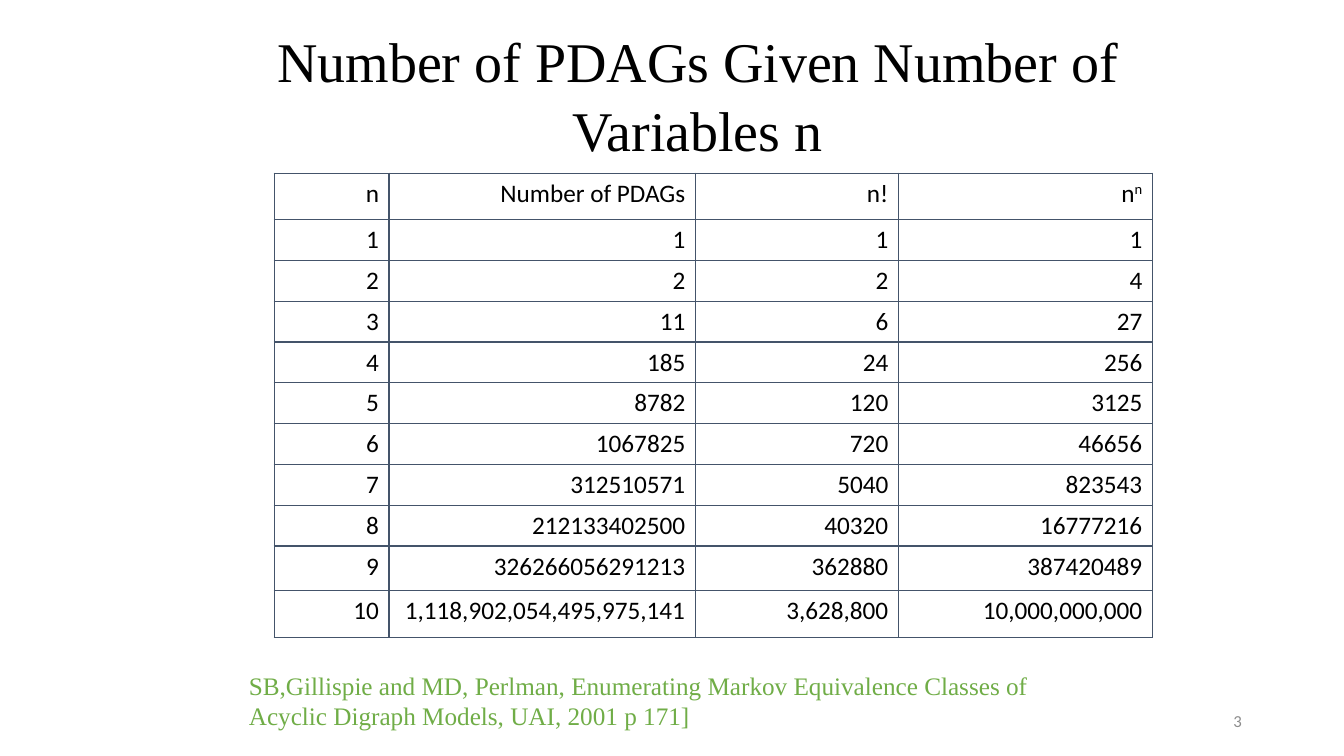
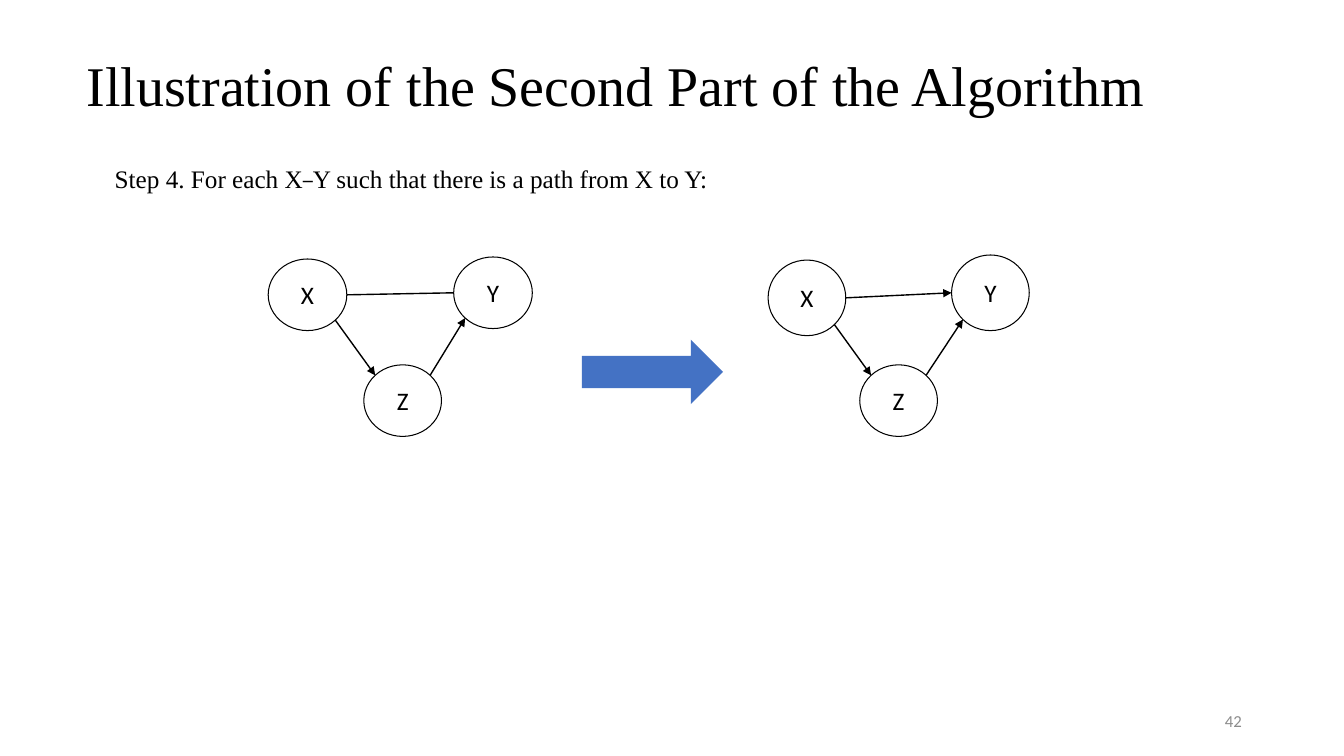
"""Build two slides on PDAG counts and the orientation step of an algorithm."""
from dataclasses import dataclass
from functools import reduce
from math import factorial, sqrt

from lxml.etree import SubElement
from pptx import Presentation
from pptx.dml.color import RGBColor
from pptx.enum.shapes import MSO_CONNECTOR, MSO_SHAPE
from pptx.enum.text import MSO_ANCHOR, PP_ALIGN
from pptx.oxml.ns import qn
from pptx.util import Inches, Pt

WIDTH, HEIGHT = Inches(13.33), Inches(7.5)


@dataclass(frozen=True)
class Theme:
    """Colours, fonts and type sizes shared by the slides."""
    ink: str = "000000"
    paper: str = "FFFFFF"
    accent: str = "4472C4"
    citation: str = "70AD47"
    muted: str = "8C8C8C"
    grid: str = "44546A"
    serif: str = "Times New Roman"
    sans: str = "Calibri"
    title_size: int = 40
    body_size: int = 18
    number_size: int = 12


THEME = Theme()


def type_style(family, size, colour):
    """Return the font format values of one text role."""
    return {"name": family, "size": Pt(size), "color.rgb": RGBColor.from_string(colour)}


TITLE = type_style(THEME.serif, THEME.title_size, THEME.ink)
BODY = type_style(THEME.serif, THEME.body_size, THEME.ink)
CITATION = type_style(THEME.serif, THEME.body_size, THEME.citation)
LABEL = type_style(THEME.sans, THEME.body_size, THEME.ink)
NUMBER = type_style(THEME.sans, THEME.number_size, THEME.muted)

TITLE_LEADING, BODY_LEADING = Pt(49), Pt(21.5)
PDAG_COUNTS = (1, 2, 11, 185, 8782, 1067825, 312510571, 212133402500,
               326266056291213, 1118902054495975141)
COLUMN_SHARES = (8.55, 22.8, 15.1, 18.9)
ROW_SHARES = (6.13, *[5.4] * 8, 5.9, 6.2)
BEFORE = {"X": (22.88, 39, 5.85, 9.47), "Y": (36.68, 38.73, 5.85, 9.47),
          "Z": (29.96, 53, 5.78, 9.47)}
AFTER = {"X": (60.04, 39.4, 5.78, 10), "Y": (73.69, 38.73, 5.78, 10),
         "Z": (66.86, 53, 5.78, 9.47)}
DIAGONAL = 1 / sqrt(2)


def across(share):
    """Turn a percentage of the slide width into a length."""
    return round(WIDTH * share / 100)


def down(share):
    """Turn a percentage of the slide height into a length."""
    return round(HEIGHT * share / 100)


def place(left, top, width, height):
    """Turn percentages of the slide into a position and a size."""
    return across(left), down(top), across(width), down(height)


def apply(target, values):
    """Set each format value, following dotted names."""
    for name, value in values.items():
        *parents, last = name.split(".")
        setattr(reduce(getattr, parents, target), last, value)


def write(paragraph, text, style, **layout):
    """Add one styled run and lay out its paragraph."""
    run = paragraph.add_run()
    run.text = text
    apply(run.font, style)
    apply(paragraph, layout)
    return run


def add_text(slide, box, text, style, anchor=MSO_ANCHOR.TOP, **layout):
    """Add a wrapping block of text."""
    frame = slide.shapes.add_textbox(*place(*box)).text_frame
    apply(frame, {"word_wrap": True, "vertical_anchor": anchor})
    write(frame.paragraphs[0], text, style, **layout)


def add_page_number(slide, number):
    """Add the page number at the lower right."""
    add_text(slide, (70.65, 92.67, 22.5, 5.33), str(number), NUMBER,
             MSO_ANCHOR.MIDDLE, alignment=PP_ALIGN.RIGHT)


def outline_cell(cell):
    """Give a cell thin borders and no fill."""
    properties = cell._tc.get_or_add_tcPr()
    for side in ("lnL", "lnR", "lnT", "lnB"):
        border = SubElement(properties, qn(f"a:{side}"), w=str(Pt(1)))
        fill = SubElement(border, qn("a:solidFill"))
        SubElement(fill, qn("a:srgbClr"), val=THEME.grid)
    cell.fill.background()


def growth_rows():
    """List the heading and the counts for each number of variables."""
    rows = [("n", "Number of PDAGs", "n!", "n")]
    for n, count in enumerate(PDAG_COUNTS, 1):
        mask = "{:,}" if n == len(PDAG_COUNTS) else "{}"
        rows.append([mask.format(value) for value in (n, count, factorial(n), n ** n)])
    return rows


def add_growth_table(slide):
    """Add the table that compares PDAG counts with n! and n to the n."""
    rows = growth_rows()
    box = place(20.4, 22.93, sum(COLUMN_SHARES), sum(ROW_SHARES))
    growth = slide.shapes.add_table(len(rows), len(COLUMN_SHARES), *box).table
    apply(growth, {"first_row": False, "horz_banding": False})
    for column, share in zip(growth.columns, COLUMN_SHARES):
        column.width = across(share)
    for row, share, values in zip(growth.rows, ROW_SHARES, rows):
        row.height = down(share)
        for cell, value in zip(row.cells, values):
            outline_cell(cell)
            write(cell.text_frame.paragraphs[0], value, LABEL, alignment=PP_ALIGN.RIGHT)
    power = growth.cell(0, 3).text_frame.paragraphs[0]
    exponent = write(power, "n", LABEL)
    exponent._r.get_or_add_rPr().set("baseline", "30000")


def add_filled(shapes, preset, box, colour):
    """Add a flat preset shape without an outline."""
    shape = shapes.add_shape(preset, *place(*box))
    shape.shadow.inherit = False
    shape.fill.solid()
    shape.fill.fore_color.rgb = RGBColor.from_string(colour)
    shape.line.fill.background()
    return shape


def add_node(shapes, letter, centre_x, centre_y, width, height):
    """Add a variable as a lettered ellipse around its centre."""
    box = (centre_x - width / 2, centre_y - height / 2, width, height)
    node = add_filled(shapes, MSO_SHAPE.OVAL, box, THEME.paper)
    apply(node.line, {"color.rgb": RGBColor.from_string(THEME.ink), "width": Pt(0.75)})
    node.text_frame.vertical_anchor = MSO_ANCHOR.MIDDLE
    write(node.text_frame.paragraphs[0], letter, LABEL, alignment=PP_ALIGN.CENTER)


def rim(node, toward_x, toward_y):
    """Find the point on a node's rim in a direction from its centre."""
    centre_x, centre_y, width, height = node
    return across(centre_x + toward_x * width / 2), down(centre_y + toward_y * height / 2)


def add_edge(shapes, start, end, directed=True):
    """Join two points, with an arrowhead if the edge is directed."""
    edge = shapes.add_connector(MSO_CONNECTOR.STRAIGHT, *start, *end)
    apply(edge.line, {"color.rgb": RGBColor.from_string(THEME.ink), "width": Pt(1)})
    if directed:
        SubElement(edge.line._get_or_add_ln(), qn("a:tailEnd"), type="triangle")
    SubElement(edge._element.spPr, qn("a:effectLst"))


def add_graph(slide, nodes, oriented):
    """Add the X, Y, Z triangle with X to Y oriented or not."""
    shapes = slide.shapes.add_group_shape().shapes
    for letter, node in nodes.items():
        add_node(shapes, letter, *node)
    x, y, z = (nodes[letter] for letter in "XYZ")
    add_edge(shapes, rim(x, DIAGONAL, DIAGONAL), rim(z, -DIAGONAL, -DIAGONAL))
    add_edge(shapes, rim(z, DIAGONAL, -DIAGONAL), rim(y, -DIAGONAL, DIAGONAL))
    add_edge(shapes, rim(x, 1, 0), rim(y, -1, 0), oriented)


def build_counts(slide):
    """Build the slide with the table of counts."""
    add_page_number(slide, 3)
    add_growth_table(slide)
    add_text(slide, (15.83, 2.67, 72.15, 19.33),
             "Number of PDAGs Given Number of Variables n", TITLE,
             alignment=PP_ALIGN.CENTER, line_spacing=TITLE_LEADING)
    add_text(slide, (17.78, 88, 61.05, 9.47),
             "SB,Gillispie and MD, Perlman, Enumerating Markov Equivalence Classes of "
             "Acyclic Digraph Models, UAI, 2001 p 171]", CITATION,
             line_spacing=BODY_LEADING)


def build_orientation(slide):
    """Build the slide with the graph before and after step 4."""
    add_text(slide, (5.7, 2, 86.25, 19.33),
             "Illustration of the Second Part of the Algorithm", TITLE,
             MSO_ANCHOR.MIDDLE, line_spacing=0.9)
    add_page_number(slide, 42)
    add_filled(slide.shapes, MSO_SHAPE.RIGHT_ARROW, (43.3, 44.93, 10.5, 8.53), THEME.accent)
    add_graph(slide, BEFORE, oriented=False)
    add_graph(slide, AFTER, oriented=True)
    add_text(slide, (7.8, 20.93, 48, 5.33),
             "Step 4. For each X⎯Y such that there is a path from X to Y:", BODY,
             line_spacing=BODY_LEADING)


def main():
    """Build and save the presentation."""
    deck = Presentation()
    apply(deck, {"slide_width": WIDTH, "slide_height": HEIGHT})
    for build in (build_counts, build_orientation):
        build(deck.slides.add_slide(deck.slide_layouts[6]))
    deck.save("out.pptx")


if __name__ == "__main__":
    main()
